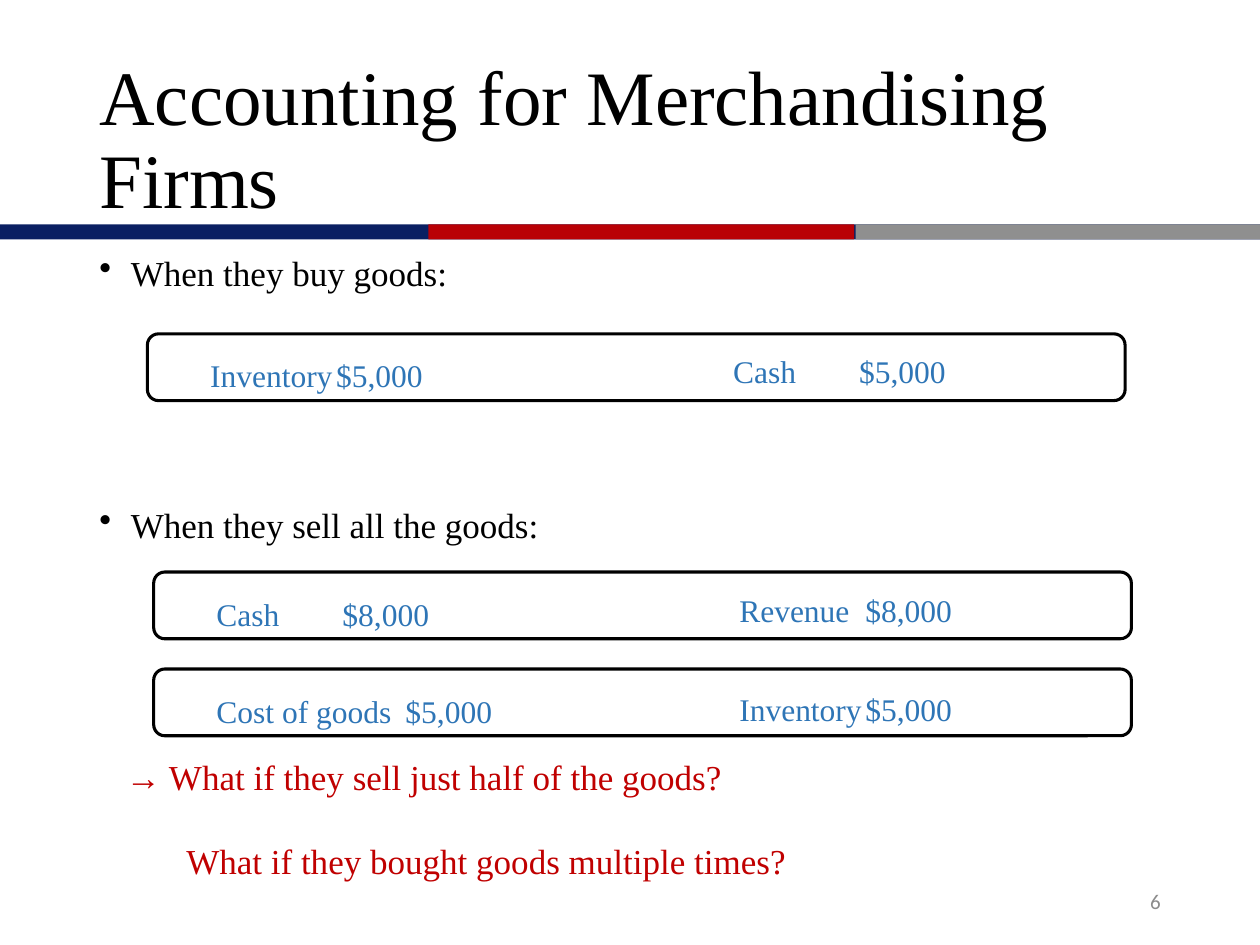
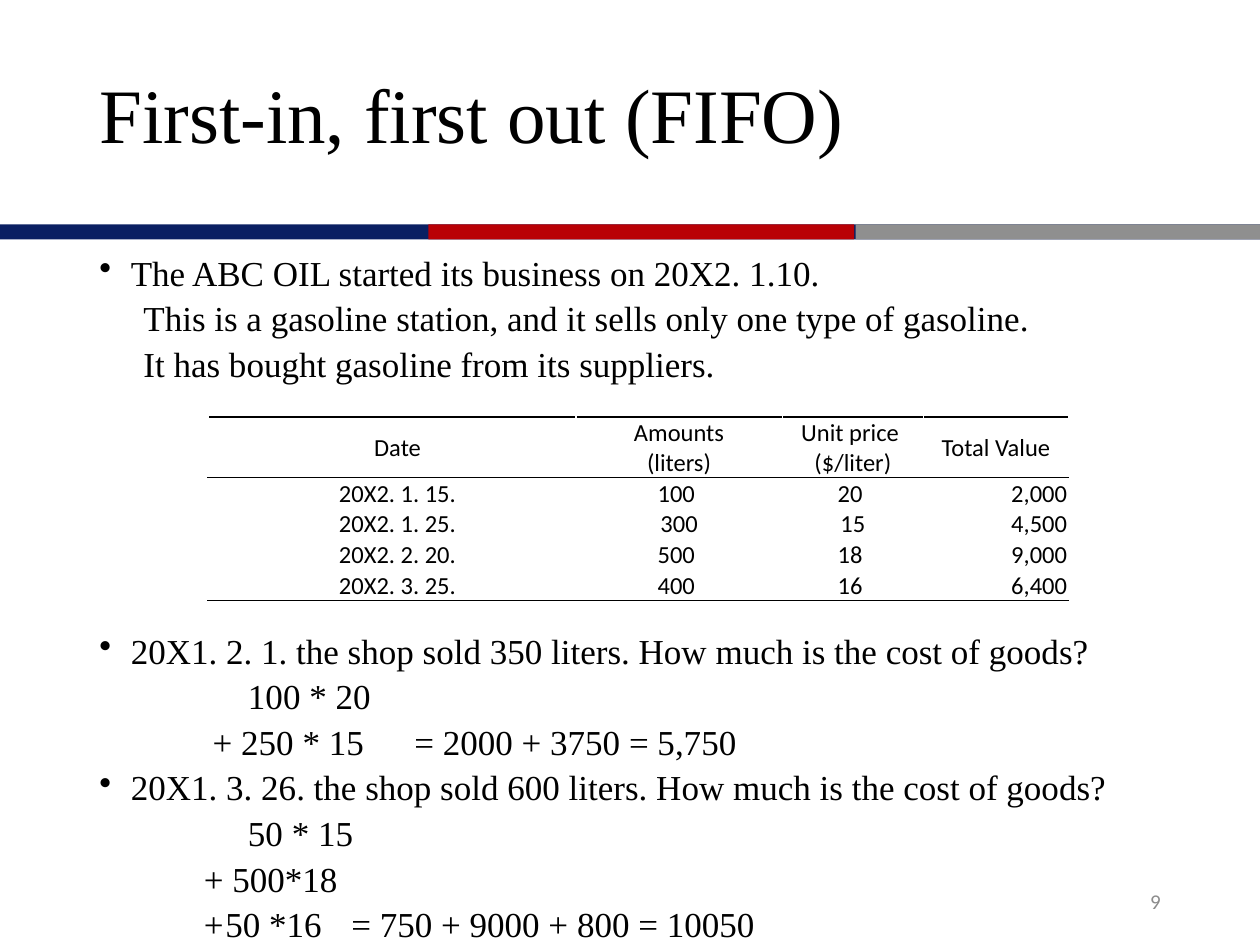
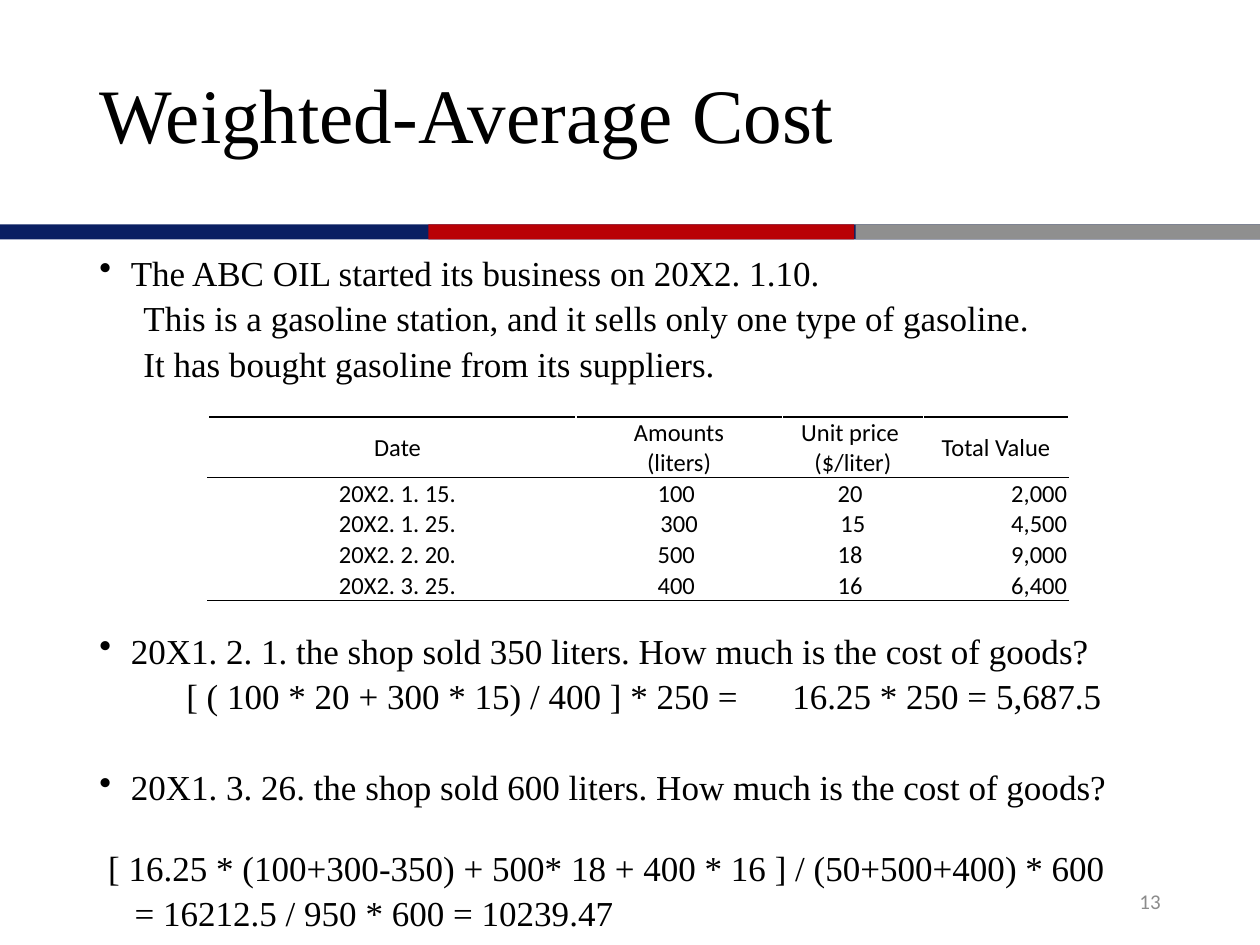
"""Build three accounting slides on merchandise and the cost of goods."""
import dataclasses
import typing

import lxml.etree
import pptx
import pptx.dml.color
import pptx.enum.shapes
import pptx.enum.text
import pptx.oxml.ns
import pptx.util

COLS, ROWS = 100, 75
WIDTH, HEIGHT = pptx.util.Inches(10), pptx.util.Inches(7.5)
SERIF, SANS = "Times New Roman", "Calibri"
BLACK, WHITE, GRAY = "000000", "FFFFFF", "8C8C8C"
BLUE, RED = "2E75B6", "C00000"
ALIGN = pptx.enum.text.PP_ALIGN
MIDDLE = pptx.enum.text.MSO_ANCHOR.MIDDLE
SHAPE = pptx.enum.shapes.MSO_SHAPE
FIXED = pptx.util.Pt(20)


class Box(typing.NamedTuple):
    """Place on the grid, in columns and rows."""
    left: float
    top: float
    width: float
    height: float


@dataclasses.dataclass(frozen=True)
class Style:
    """Look shared by the lines of one text."""
    size: float
    font: str = SERIF
    ink: str = BLACK
    lead: typing.Any = 1.0
    before: float = 0
    after: float = 0
    align: typing.Any = ALIGN.LEFT


@dataclasses.dataclass(frozen=True)
class Line:
    """One paragraph, with its own indent, tab stops and extra gap in points."""
    text: str
    indent: float = 0
    bullet: bool = False
    gap: float = 0
    tabs: tuple[float, ...] = ()
    ink: str | None = None
    after: float | None = None


@dataclasses.dataclass(frozen=True)
class Item:
    """Account name, amount, tab stop and line spacing."""
    name: str
    amount: str
    stop: float
    lead: typing.Any = 1.0


@dataclasses.dataclass(frozen=True)
class Entry:
    """Framed journal entry with a debit and a credit."""
    left: float
    top: float
    debit: Item
    credit: Item


@dataclasses.dataclass(frozen=True)
class Page:
    """Content of one slide."""
    title: str
    number: str
    head: Style
    style: Style
    body: Box
    lines: tuple[Line, ...]
    entries: tuple[Entry, ...] = ()
    table: bool = False


HEAD = Style(44, lead=0.9)
TIGHT = Style(44, lead=FIXED, before=3, after=3)
LOOSE = Style(20, lead=FIXED, before=10, after=18)
CLOSE = Style(20, lead=FIXED, before=3, after=3)
FOOT = Style(12, SANS, GRAY, align=ALIGN.RIGHT)
CELL = Style(14, SANS, align=ALIGN.CENTER)

BANDS = (
    (Box(0, 17.8, 100, 1.2), "0A1F62"),
    (Box(34, 17.8, 33.8, 1.2), "B90005"),
    (Box(67.9, 17.8, 32.1, 1.2), "8F8F8F"),
)
TITLE = Box(6.9, 4, 89.8, 14.5)
NUMBER = Box(70.6, 69.5, 22.5, 4)
GRID = Box(16.5, 33.1, 68.3, 14.4)
SPANS = (29.2, 16.4, 11.2, 11.5)
TALLS = (4.8, 2.4, 2.4, 2.4, 2.4)
STOCK = (
    ("Date", "Amounts\n(liters)", "Unit price \n($/liter)", "Total Value"),
    ("20X2. 1. 15.", "100 ", "20 ", "2,000"),
    ("20X2. 1. 25.", "300", "15", "4,500"),
    ("20X2. 2. 20.", "500 ", "18 ", "9,000"),
    ("20X2. 3. 25.", "400 ", "16 ", "6,400"),
)

INTRO = (
    Line("The ABC OIL started its business on 20X2. 1.10.", bullet=True),
    Line("This is a gasoline station, and it sells only one type of gasoline.", 3.5),
    Line("It has bought gasoline from its suppliers.", 3.5, after=0),
    Line("20X1. 2. 1. the shop sold 350 liters. How much is the cost of goods?",
         bullet=True, gap=141),
)
LATER = "20X1. 3. 26. the shop sold 600 liters. How much is the cost of goods?"

PAGES = (
    Page("Accounting for Merchandising Firms", "6", HEAD, LOOSE, Box(6.9, 20, 88.3, 47.6), (
        Line("When they buy goods:", bullet=True),
        Line("When they sell all the goods:", bullet=True, gap=96),
        Line("→ What if they sell just half of the goods?", 2.1, gap=96, ink=RED),
        Line("What if they bought goods multiple times?", 6.9, ink=RED),
    ), (
        Entry(11.7, 26.5, Item("Inventory", "$5,000", 22.2), Item("Cash", "$5,000", 22.4, FIXED)),
        Entry(12.2, 45.4, Item("Cash", "$8,000", 20), Item("Revenue", "$8,000", 23.1, FIXED)),
        Entry(12.2, 53.1, Item("Cost of goods", "$5,000", 18.9),
              Item("Inventory", "$5,000", 22.2)),
    )),
    Page("First-in, first out (FIFO)", "9", TIGHT, CLOSE, Box(6.9, 20, 88.3, 53.5), INTRO + (
        Line("100 * 20", 11.8),
        Line("+ 250 * 15\t= 2000 + 3750 = 5,750", 9, tabs=(22.4,)),
        Line(LATER, bullet=True),
        Line("50 * 15", 11.8),
        Line("+ 500*18", 8.3),
        Line("+\t50 *16\t= 750 + 9000 + 800 = 10050", 8.3, tabs=(11.9, 21.7)),
    ), table=True),
    Page("Weighted-Average Cost", "13", TIGHT, CLOSE, Box(6.9, 20, 90.6, 53.5), INTRO + (
        Line("[ ( 100 * 20 + 300 * 15) / 400 ] * 250 =\t16.25 * 250 = 5,687.5", 6.9,
             tabs=(52.1,)),
        Line(LATER, bullet=True, gap=26),
        Line("[ 16.25 * (100+300-350) + 500* 18 + 400 * 16 ] / (50+500+400) * 600", 0.7, gap=20),
        Line("= 16212.5 / 950 * 600 = 10239.47", 2.8),
    ), table=True),
)


def col(count: float) -> int:
    """Turn grid columns into a length."""
    return round(WIDTH * count / COLS)


def row(count: float) -> int:
    """Turn grid rows into a length."""
    return round(HEIGHT * count / ROWS)


def place(box: Box) -> tuple[int, int, int, int]:
    """Turn a box into slide lengths."""
    return col(box.left), row(box.top), col(box.width), row(box.height)


def tint(code: str) -> pptx.dml.color.RGBColor:
    """Turn a hex string into a colour."""
    return pptx.dml.color.RGBColor.from_string(code)


def node(root, tag: str, **attrs):
    """Add an XML child with attributes."""
    return lxml.etree.SubElement(root, pptx.oxml.ns.qn(tag), attrs)


def write(frame, lines: typing.Sequence[Line], style: Style) -> None:
    """Fill a text frame with styled lines."""
    frame.text = "\n".join(line.text for line in lines)
    for para, line in zip(frame.paragraphs, lines):
        para.alignment = style.align
        para.line_spacing = style.lead
        para.space_before = pptx.util.Pt(style.before + line.gap)
        after = style.after if line.after is None else line.after
        para.space_after = pptx.util.Pt(after)
        props = para._p.get_or_add_pPr()
        props.set("marL", str(col(2.5) if line.bullet else 0))
        props.set("indent", str(col(-2.5 if line.bullet else line.indent)))
        if line.bullet:
            node(props, "a:buChar", char="•")
        else:
            node(props, "a:buNone")
        if line.tabs:
            stops = node(props, "a:tabLst")
            for stop in line.tabs:
                node(stops, "a:tab", pos=str(col(stop)), algn="l")
        for run in para.runs:
            run.font.size = pptx.util.Pt(style.size)
            run.font.name = style.font
            run.font.color.rgb = tint(line.ink or style.ink)


def label(slide, box: Box, lines: typing.Sequence[Line], style: Style, anchor=None):
    """Add a wrapped text box."""
    frame = slide.shapes.add_textbox(*place(box)).text_frame
    frame.word_wrap = True
    if anchor is not None:
        frame.vertical_anchor = anchor
    write(frame, lines, style)
    return frame


def band(slide, box: Box, fill: str) -> None:
    """Add a plain colour band."""
    shape = slide.shapes.add_shape(SHAPE.RECTANGLE, *place(box))
    shape.shadow.inherit = False
    shape.fill.solid()
    shape.fill.fore_color.rgb = tint(fill)
    shape.line.fill.background()


def post(slide, entry: Entry) -> None:
    """Add a journal entry and its frame."""
    for item, right, down in ((entry.debit, 4, 1.3), (entry.credit, 45.5, 1.2)):
        line = Line(f"{item.name}\t{item.amount}", tabs=(item.stop,))
        style = Style(18, ink=BLUE, lead=item.lead, after=0 if item.lead == 1 else 6)
        box = Box(entry.left + right, entry.top + down, 32, 4)
        label(slide, box, [line], style).margin_right = 0
    shape = slide.shapes.add_shape(
        SHAPE.ROUNDED_RECTANGLE, *place(Box(entry.left, entry.top, 77.6, 5.3)))
    shape.shadow.inherit = False
    shape.fill.background()
    shape.line.color.rgb = tint(BLACK)
    shape.line.width = pptx.util.Pt(1.75)


def edge(cell, side: str, ink: str) -> None:
    """Draw one cell border."""
    line = node(cell._tc.get_or_add_tcPr(), f"a:ln{side}", w=str(pptx.util.Pt(1)))
    node(node(line, "a:solidFill"), "a:srgbClr", val=ink)


def stock(slide) -> None:
    """Add the table of purchases."""
    table = slide.shapes.add_table(len(STOCK), len(SPANS), *place(GRID)).table
    table.first_row = table.horz_banding = False
    for part, span in zip(table.columns, SPANS):
        part.width = col(span)
    for part, tall in zip(table.rows, TALLS):
        part.height = row(tall)
    last = len(STOCK) - 1
    for down, texts in enumerate(STOCK):
        for over, text in enumerate(texts):
            cell = table.cell(down, over)
            cell.vertical_anchor = MIDDLE
            cell.margin_left = col(1 if over == 0 else 0.1)
            cell.margin_right, cell.margin_top, cell.margin_bottom = col(0.1), row(0.1), 0
            edge(cell, "L", WHITE)
            edge(cell, "R", WHITE)
            edge(cell, "T", BLACK if down < 2 else WHITE)
            edge(cell, "B", BLACK if down in (0, last) else WHITE)
            cell.fill.background()
            right = down > 0 and over == len(SPANS) - 1
            style = dataclasses.replace(CELL, align=ALIGN.RIGHT) if right else CELL
            write(cell.text_frame, [Line(part) for part in text.split("\n")], style)


def draw(deck, page: Page) -> None:
    """Add one slide to the deck."""
    slide = deck.slides.add_slide(deck.slide_layouts[6])
    for box, fill in BANDS:
        band(slide, box, fill)
    label(slide, TITLE, [Line(page.title)], page.head, MIDDLE)
    label(slide, page.body, page.lines, page.style)
    label(slide, NUMBER, [Line(page.number)], FOOT, MIDDLE)
    for entry in page.entries:
        post(slide, entry)
    if page.table:
        stock(slide)


def main() -> None:
    """Build and save the deck."""
    deck = pptx.Presentation()
    deck.slide_width, deck.slide_height = WIDTH, HEIGHT
    for page in PAGES:
        draw(deck, page)
    deck.save("out.pptx")


if __name__ == "__main__":
    main()
